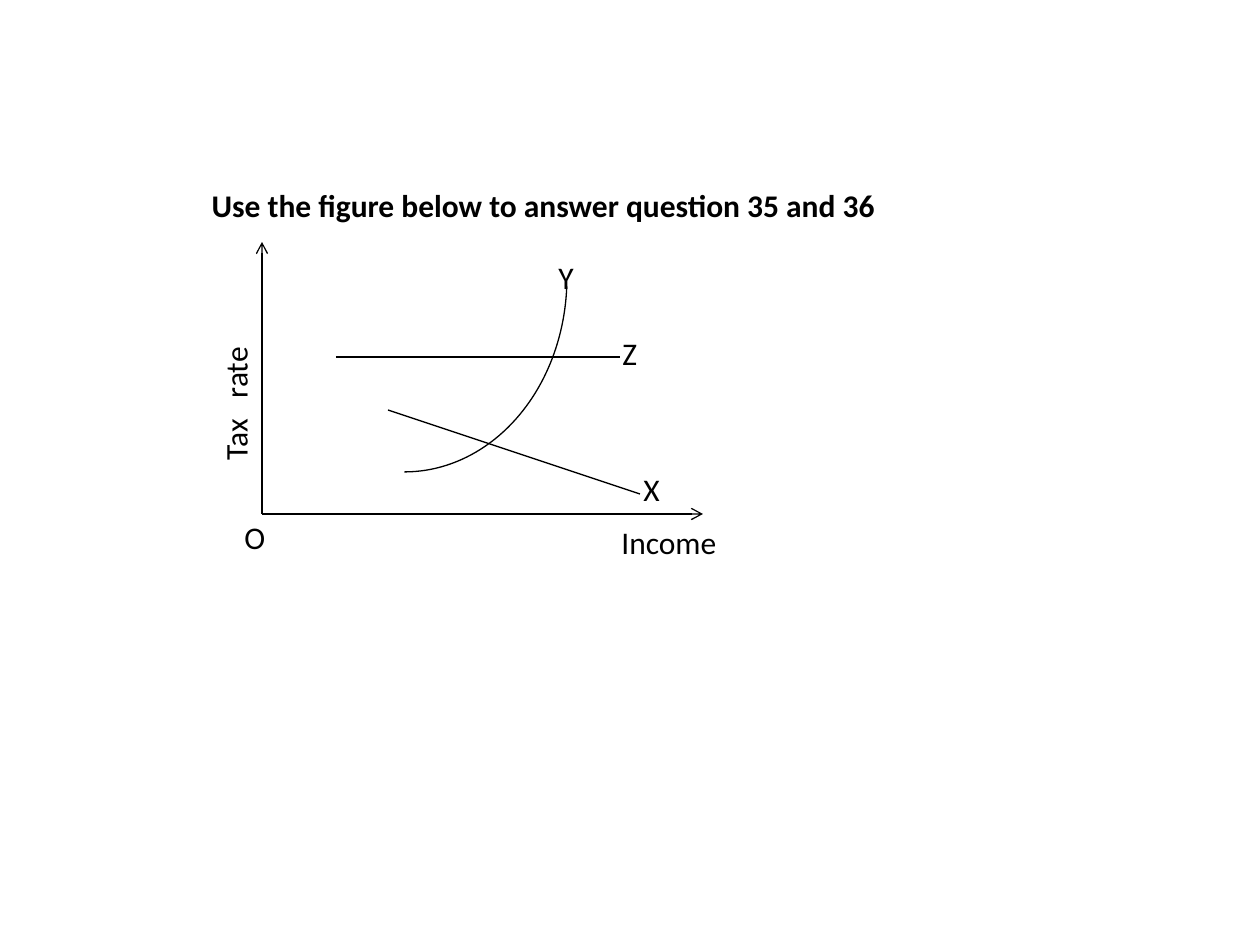
from pptx import Presentation
from pptx.dml.color import RGBColor
from pptx.enum.shapes import MSO_CONNECTOR, MSO_SHAPE
from pptx.enum.text import MSO_ANCHOR, MSO_AUTO_SIZE, PP_ALIGN
from pptx.oxml.ns import qn
from pptx.util import Emu, Pt
from lxml import etree

COLORS = {"ink": "000000", "background": "FFFFFF"}
FONT = "Calibri"
SIZE = 18
TEXT_HEIGHT = 50
WORD_GAP = 8

TITLE = ("Use the figure below to answer question 35 and 36", 199, 180, 702)
ORIGIN = (262, 514)
AXIS_ENDS = [(262, 242), (703, 514)]
TAX_LINES = [((336, 357), (620, 357)), ((388, 410), (640, 494))]
CURVE = (242, 84, 325, 388)
CURVE_ANGLES = (162, 214.21)
LABELS = [
    ("Y", 546, 252, 40),
    ("Z", 610, 328, 40),
    ("X", 631, 464, 42),
    ("Income", 609, 517, 121),
    ("O", 232, 512, 47),
]
RATE_LABEL = (("Tax", " ", "rate"), 165, 378, 140)


def px(value):
    return Emu(round(value * 914400 / 126))


def ink(color):
    color.rgb = RGBColor.from_string(COLORS["ink"])


def style_line(shape):
    ink(shape.line.color)
    shape.line.width = Pt(0.75)


def add_line(start, end, arrow=False):
    line = slide.shapes.add_connector(MSO_CONNECTOR.STRAIGHT, *map(px, start + end))
    style_line(line)
    if arrow:
        etree.SubElement(line.line._get_or_add_ln(), qn("a:tailEnd"), type="arrow")
    etree.SubElement(line._element.spPr, qn("a:effectLst"))


def write(shape, parts, bold=False):
    frame = shape.text_frame
    frame.word_wrap = False
    frame.auto_size = MSO_AUTO_SIZE.NONE
    frame.vertical_anchor = MSO_ANCHOR.TOP
    paragraph = frame.paragraphs[0]
    paragraph.alignment = PP_ALIGN.LEFT
    for part in parts:
        run = paragraph.add_run()
        run.text = part
        run.font.name, run.font.size, run.font.bold = FONT, Pt(SIZE), bold
        ink(run.font.color)
        if part == " ":
            run.font._element.set("spc", str(WORD_GAP * 100))


def add_label(parts, left, top, width):
    box = slide.shapes.add_textbox(px(left), px(top), px(width), px(TEXT_HEIGHT))
    write(box, parts)
    return box


prs = Presentation()
prs.slide_width, prs.slide_height = px(1260), px(945)
slide = prs.slides.add_slide(prs.slide_layouts[5])
slide.background.fill.solid()
slide.background.fill.fore_color.rgb = RGBColor.from_string(COLORS["background"])

for axis_end in AXIS_ENDS:
    add_line(ORIGIN, axis_end, arrow=True)
for start, end in TAX_LINES:
    add_line(start, end)

curve = slide.shapes.add_shape(MSO_SHAPE.ARC, *map(px, CURVE))
curve.shadow.inherit = False
curve.fill.background()
style_line(curve)
for index, angle in enumerate(CURVE_ANGLES):
    curve.adjustments[index] = angle
curve._element.spPr.find(qn("a:xfrm")).set("flipV", "1")

for text, left, top, width in LABELS:
    add_label([text], left, top, width)
add_label(*RATE_LABEL).rotation = 270

heading, left, top, width = TITLE
title = slide.shapes.title
title.left, title.top, title.width, title.height = map(px, (left, top, width, TEXT_HEIGHT))
write(title, [heading], bold=True)

prs.save("out.pptx")
